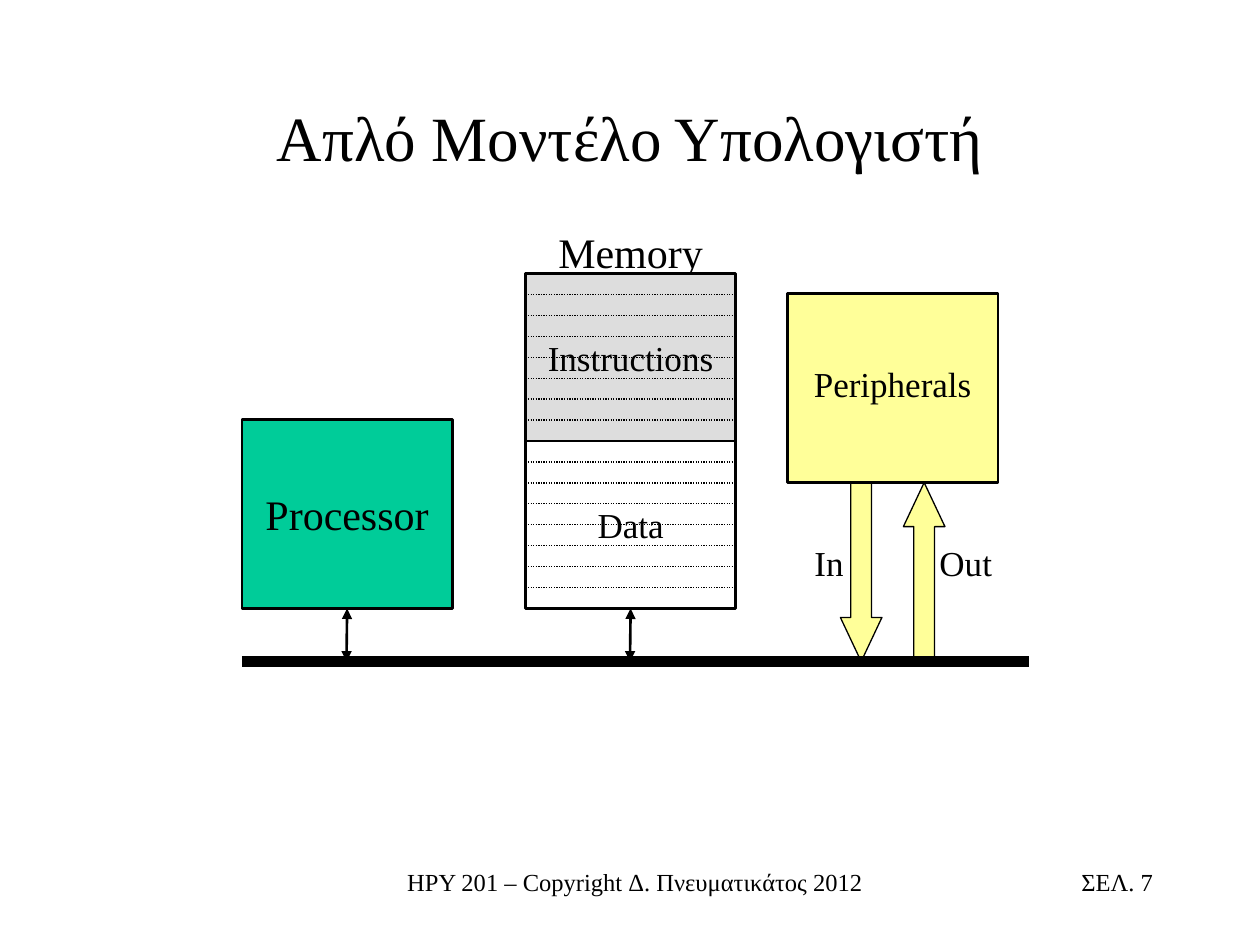
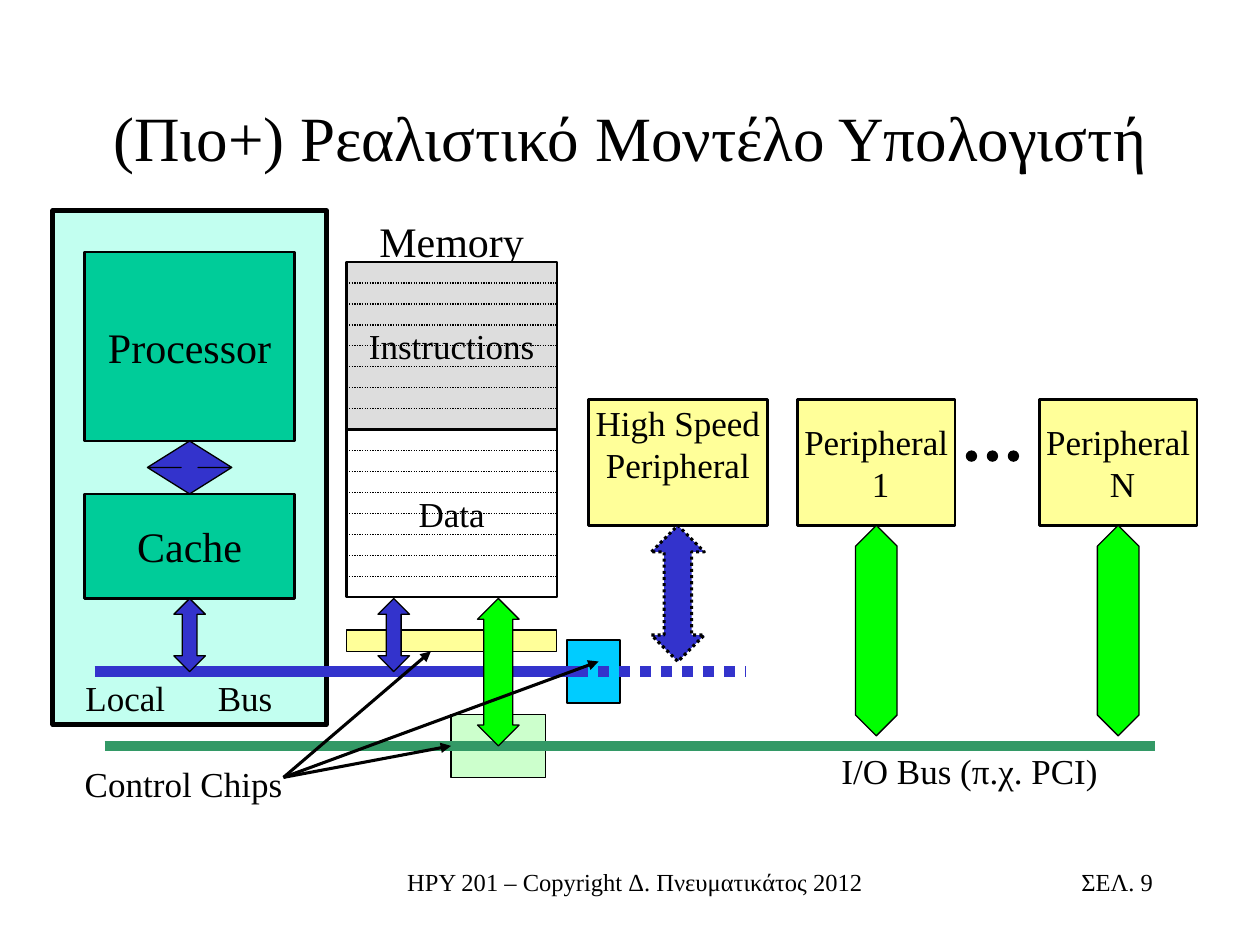
from lxml import etree
from pptx import Presentation
from pptx import util as u
from pptx.dml import color
from pptx.enum import dml, shapes, text
from pptx.oxml import ns

FONT = "Times New Roman"
BLACK, WHITE, GREY = "000000", "FFFFFF", "DDDDDD"
TEAL, YELLOW, BLUE, LIME = "00CC99", "FFFF99", "3333CC", "00FF00"
MINT, SKY, PALE_GREEN, BUS_GREEN = "C2FFF0", "00CCFF", "CCFFCC", "339966"
FOOTER = "ΗΡΥ 201 – Copyright Δ. Πνευματικάτος 2012"
DOTTED = dml.MSO_LINE.ROUND_DOT
RECTANGLE = shapes.MSO_SHAPE.RECTANGLE
DOUBLE_ARROW = shapes.MSO_SHAPE.UP_DOWN_ARROW
CENTER, LEFT, RIGHT = text.PP_ALIGN.CENTER, text.PP_ALIGN.LEFT, text.PP_ALIGN.RIGHT
MIDDLE, TOP = text.MSO_ANCHOR.MIDDLE, text.MSO_ANCHOR.TOP
BLOCK_WIDTH, MEMORY_HALF, MEMORY_ROWS = 1.67, 1.33, 8


def rgb(value):
    return color.RGBColor.from_string(value)


def apply_format(target, values):
    for name, value in values.items():
        setattr(target, name, value)


def inches(lengths):
    return [u.Inches(length) for length in lengths]


def write(shape, content, size, align=CENTER, anchor=TOP, wrap=True):
    frame = shape.text_frame
    frame.text = content
    apply_format(frame, {"word_wrap": wrap, "vertical_anchor": anchor})
    for paragraph in frame.paragraphs:
        paragraph.alignment = align
        apply_format(paragraph.font, {"name": FONT, "size": u.Pt(size)})
        paragraph.font.color.rgb = rgb(BLACK)


def style_line(line, line_color, width, dash=None):
    line.color.rgb = rgb(line_color)
    apply_format(line, {"width": u.Pt(width), "dash_style": dash})


def add_label(slide, content, place, size=20, align=CENTER):
    label = slide.shapes.add_textbox(*inches(place))
    write(label, content, size, align)
    return label


def add_block(slide, place, fill, width=1.5, dash=None, kind=RECTANGLE, adjustments=()):
    block = slide.shapes.add_shape(kind, *inches(place))
    block.shadow.inherit = False
    block.fill.solid()
    block.fill.fore_color.rgb = rgb(fill)
    style_line(block.line, BLACK, width, dash)
    for index, value in enumerate(adjustments):
        block.adjustments[index] = value
    return block


def add_arrow(slide, place, fill, head, kind=DOUBLE_ARROW, width=0.75, dash=None):
    return add_block(slide, place, fill, width, dash, kind, (0.5, head))


def add_line(slide, start, end, line_color=BLACK, width=1.5, dash=None, heads=()):
    line = slide.shapes.add_connector(shapes.MSO_CONNECTOR.STRAIGHT, *inches(start + end))
    style_line(line.line, line_color, width, dash)
    properties = line._element.spPr
    for head in heads:
        etree.SubElement(properties.find(ns.qn("a:ln")), ns.qn("a:" + head), type="triangle")
    etree.SubElement(properties, ns.qn("a:effectLst"))
    return line


def add_memory(slide, left, top):
    add_label(slide, "Memory", (left, top - 0.42, BLOCK_WIDTH, 0.5), 24)
    halves = []
    for index, (name, fill) in enumerate((("Instructions", GREY), ("Data", WHITE))):
        half_top = top + index * MEMORY_HALF
        halves.append(add_block(slide, (left, half_top, BLOCK_WIDTH, MEMORY_HALF), fill))
        for row in range(1, MEMORY_ROWS):
            y = half_top + row * MEMORY_HALF / MEMORY_ROWS
            add_line(slide, (left, y), (left + BLOCK_WIDTH, y), width=0.75, dash=DOTTED)
        add_label(slide, name, (left, half_top + 0.45, BLOCK_WIDTH, 0.44))
    return halves[1]


def add_processor(slide, left, top):
    processor = add_block(slide, (left, top, BLOCK_WIDTH, 1.5), TEAL)
    add_label(slide, "Processor", (left, top + 0.5, BLOCK_WIDTH, 0.5), 24)
    return processor


def add_tab_stop(label, position):
    properties = label.text_frame.paragraphs[0]._p.get_or_add_pPr()
    stops = etree.Element(ns.qn("a:tabLst"))
    etree.SubElement(stops, ns.qn("a:tab"), pos=str(u.Inches(position)), algn="l")
    properties.insert(0, stops)


def add_model_slide(presentation, title, page):
    slide = presentation.slides.add_slide(presentation.slide_layouts[5])
    heading = slide.shapes.title
    places = zip(("left", "top", "width", "height"), inches((0.75, 0.67, 8.5, 0.83)))
    apply_format(heading, dict(places))
    write(heading, title, 36, anchor=MIDDLE)
    add_label(slide, FOOTER, (3, 6.83, 4.08, 0.5), 14)
    add_label(slide, f"ΣΕΛ. {page}", (7.17, 6.83, 2.08, 0.5), 14, RIGHT)
    return slide


def build_simple_model(presentation):
    slide = add_model_slide(presentation, "Απλό Μοντέλο Υπολογιστή", 7)
    bus_y = 5.25
    processor = add_processor(slide, 1.92, 3.33)
    data = add_memory(slide, 4.17, 2.17)
    for block, x in ((processor, 2.75), (data, 5)):
        link = add_line(slide, (x, 4.83), (x, bus_y), heads=("headEnd", "tailEnd"))
        link.begin_connect(block, 2)
    for left, kind in ((7.17, shapes.MSO_SHAPE.UP_ARROW), (6.67, shapes.MSO_SHAPE.DOWN_ARROW)):
        add_arrow(slide, (left, 3.83, 0.33, 1.42), YELLOW, 1.06, kind)
    add_block(slide, (6.25, 2.33, BLOCK_WIDTH, 1.5), YELLOW)
    add_label(slide, "Peripherals", (6.25, 2.83, BLOCK_WIDTH, 0.44))
    add_line(slide, (1.92, bus_y), (8.17, bus_y), width=6)
    add_label(slide, "In", (6.33, 4.25, 0.5, 0.44))
    add_label(slide, "Out", (7.33, 4.25, 0.67, 0.44))


def add_peripherals(slide):
    top = 3.17
    for left, number in ((6.33, "1"), (8.25, "N")):
        peripheral = add_block(slide, (left, top, 1.25, 1), YELLOW)
        write(peripheral, f"Peripheral\n {number}", 20, anchor=MIDDLE, wrap=False)
        add_arrow(slide, (left + 0.46, top + 1, 0.33, 1.67), LIME, 1)
    fast = add_block(slide, (4.67, top, 1.42, 1), YELLOW)
    write(fast, "High Speed\nPeripheral", 20, wrap=False)
    fast.text_frame.margin_top = u.Inches(0.02)
    add_arrow(slide, (5.17, top + 1, 0.42, 1.08), BLUE, 0.52, width=1.75, dash=DOTTED)
    for index in range(3):
        add_block(slide, (7.67 + index / 6, 3.58, 0.08, 0.08), BLACK, 0.75,
                  kind=shapes.MSO_SHAPE.OVAL)


def build_realistic_model(presentation):
    slide = add_model_slide(presentation, "(Πιο+) Ρεαλιστικό Μοντέλο Υπολογιστή", 9)
    local_y, io_y = 5.33, 5.92
    add_block(slide, (0.42, 1.67, 2.17, 4.08), MINT, 2.75)
    add_block(slide, (2.75, 5, BLOCK_WIDTH, 0.17), YELLOW, 0.75)
    add_block(slide, (4.5, 5.08, 0.42, 0.5), SKY, 0.75)
    io_chip = add_block(slide, (3.58, 5.67, 0.75, 0.5), PALE_GREEN, 0.75)

    processor = add_processor(slide, 0.67, 2)
    add_memory(slide, 2.75, 2.08)
    cache = add_block(slide, (0.67, 3.92, BLOCK_WIDTH, 0.83), TEAL)
    write(cache, "Cache", 24, anchor=MIDDLE, wrap=False)
    link = add_line(slide, (1.5, 3.5), (1.5, 3.92), heads=("headEnd", "tailEnd"))
    link.begin_connect(processor, 2)
    link.end_connect(cache, 0)

    add_line(slide, (0.75, local_y), (4.67, local_y), BLUE, 6)
    add_line(slide, (0.83, io_y), (9.17, io_y), BUS_GREEN, 6)
    add_line(slide, (4.58, local_y), (5.92, local_y), BLUE, 6, DOTTED)
    add_arrow(slide, (3.79, 4.75, 0.33, 1.17), LIME, 0.7)
    for left in (3, 1.38):
        add_arrow(slide, (left, 4.75, 0.25, 0.58), BLUE, 0.47)
    add_arrow(slide, (1.17, 3.5, 0.67, 0.42), BLUE, 0.2)
    add_peripherals(slide)

    for end in ((3.42, 5.17), (4.75, 5.25), (3.58, io_y)):
        pointer = add_line(slide, (2.25, 6.17), end, width=1.75, heads=("tailEnd",))
    pointer.end_connect(io_chip, 1)
    add_label(slide, "Control Chips", (0.42, 6, 1.92, 0.44), align=RIGHT)
    add_label(slide, "I/O Bus (π.χ. PCI)", (6.58, 5.9, 2.25, 0.44), align=LEFT)
    local_bus = add_label(slide, "Local\tBus", (0.58, 5.32, 1.75, 0.44), align=LEFT)
    add_tab_stop(local_bus, 1.05)


def main():
    presentation = Presentation()
    apply_format(presentation, {"slide_width": u.Inches(10), "slide_height": u.Inches(7.5)})
    build_simple_model(presentation)
    build_realistic_model(presentation)
    presentation.save("out.pptx")


if __name__ == "__main__":
    main()
